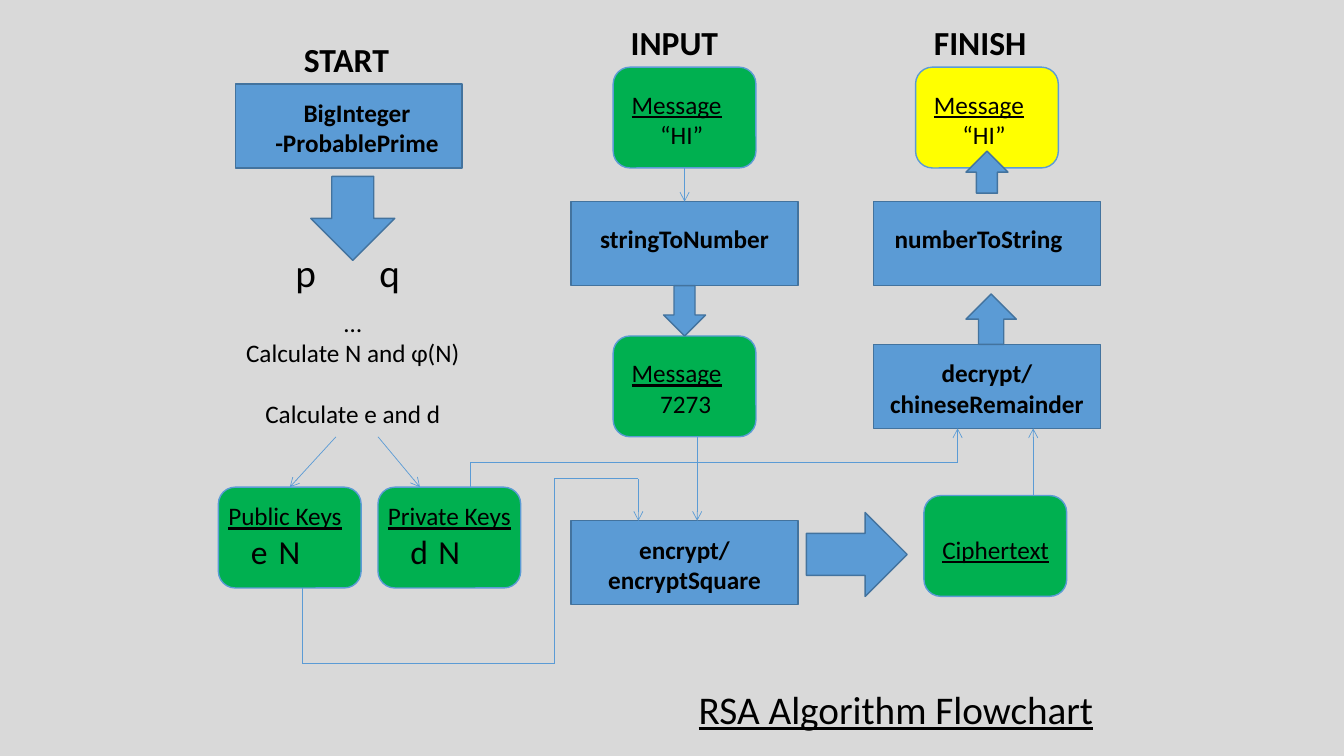
from lxml import etree
from pptx import Presentation
from pptx.dml.color import RGBColor
from pptx.enum.shapes import MSO_CONNECTOR, MSO_SHAPE
from pptx.enum.text import MSO_AUTO_SIZE, PP_ALIGN
from pptx.oxml.ns import qn
from pptx.util import Cm, Pt

RECTANGLE = MSO_SHAPE.RECTANGLE
ROUNDED = MSO_SHAPE.ROUNDED_RECTANGLE
UP, DOWN, RIGHT = MSO_SHAPE.UP_ARROW, MSO_SHAPE.DOWN_ARROW, MSO_SHAPE.RIGHT_ARROW
STRAIGHT = MSO_CONNECTOR.STRAIGHT
LEFT_ALIGNED, CENTERED = PP_ALIGN.LEFT, PP_ALIGN.CENTER
TOP_SIDE, BOTTOM_SIDE = 0, 2

GRID = 2.54 / 12  # centimetres per grid step; every position is in steps
BLUE, DARK_BLUE, GREEN, YELLOW = "5B9BD5", "43739E", "00B050", "FFFF00"


def color(value):
    return RGBColor.from_string(value)


def steps(*values):
    return [Cm(value * GRID) for value in values]


class Flowchart:
    font = "Calibri"
    ink = "000000"

    def __init__(self, slide):
        self.slide = slide

    def shape(self, kind, left, top, width, height, fill=BLUE, line=DARK_BLUE):
        shape = self.slide.shapes.add_shape(kind, *steps(left, top, width, height))
        shape.shadow.inherit = False
        shape.fill.solid()
        shape.fill.fore_color.rgb = color(fill)
        shape.line.color.rgb = color(line)
        shape.line.width = Pt(1)
        return shape

    def process(self, left, top):
        return self.shape(RECTANGLE, left, top, 27, 10)

    def data(self, left, top, fill=GREEN):
        return self.shape(ROUNDED, left, top, 17, 12, fill, BLUE)

    def text(self, left, top, width, height, *lines, align=LEFT_ALIGNED, **style):
        """Each line is a string or a (string, own style) pair."""
        box = self.slide.shapes.add_textbox(*steps(left, top, width, height))
        frame = box.text_frame
        frame.word_wrap = True
        frame.auto_size = MSO_AUTO_SIZE.SHAPE_TO_FIT_TEXT
        for index, line in enumerate(lines):
            words, own = (line, {}) if isinstance(line, str) else line
            paragraph = frame.add_paragraph() if index else frame.paragraphs[0]
            paragraph.alignment = align
            self.run(paragraph, words, **{**style, **own})

    def run(self, paragraph, words, size=18, bold=False, underline=False,
            indent=0, tab=0, before=0):
        paragraph.space_before = Pt(before)
        properties = paragraph._p.get_or_add_pPr()
        if indent:
            properties.set("marL", "0")
            properties.set("indent", str(Cm(indent)))
        if tab:
            tabs = etree.SubElement(properties, qn("a:tabLst"))
            etree.SubElement(tabs, qn("a:tab"), pos=str(Cm(tab)), algn="l")
        run = paragraph.add_run()
        run.text = words
        run.font.name = self.font
        run.font.size = Pt(size)
        run.font.bold = bold
        run.font.underline = underline
        run.font.color.rgb = color(self.ink)

    def line(self, start, end, arrow=True, source=None, target=None):
        connector = self.slide.shapes.add_connector(STRAIGHT, *steps(*start, *end))
        if source is not None:
            connector.begin_connect(source, BOTTOM_SIDE)
        if target is not None:
            connector.end_connect(target, TOP_SIDE)
        connector.line.color.rgb = color(BLUE)
        connector.line.width = Pt(0.5)
        if arrow:
            etree.SubElement(connector.line._get_or_add_ln(), qn("a:tailEnd"), type="arrow")
        etree.SubElement(connector._element.spPr, qn("a:effectLst"))

    def route(self, *points):
        """A path of straight parts with an arrowhead on the last one."""
        for start, end in zip(points, points[1:]):
            self.line(start, end, arrow=end == points[-1])


def draw_key_generation(chart):
    # Primes
    chart.process(28, 10)
    chart.text(30, 11, 25, 8.5, "BigInteger -ProbablePrime", align=CENTERED, bold=True)
    chart.shape(DOWN, 37, 21, 10, 10)
    chart.text(34, 29, 6, 6.8, "p", size=28)
    chart.text(44, 29, 7, 6.8, "q", size=28)
    chart.text(27, 36, 30, 15.6, "…", "Calculate N and φ(N)",
               ("Calculate e and d", {"before": 22}), align=CENTERED)

    # Key pair
    public_keys, private_keys = [chart.data(left, 58) for left in (26, 45)]
    for left, width, name, letter in ((26, 17, "Public Keys", "e"), (45, 19, "Private Keys", "d")):
        chart.text(left, 59, width, 9.6, (name, {"underline": True}),
                   (f"{letter}\tN", {"size": 24, "indent": 0.57, "tab": 1.77}))
    chart.line((40, 52), (34.5, 58), target=public_keys)
    chart.line((45, 52), (50, 58))


def draw_message(chart, left, top, content, fill=GREEN):
    shape = chart.data(left, top, fill)
    chart.text(left + 1, top + 2, 15, 8.5, ("Message", {"underline": True}),
               (content, {"indent": 0.72}))
    return shape


def draw_encryption(chart):
    message = draw_message(chart, 73, 8, "“HI”")
    to_number = chart.process(68, 24)
    chart.text(69, 26, 25, 4.8, "stringToNumber", align=CENTERED, bold=True)
    number = draw_message(chart, 73, 40, "7273")
    chart.process(68, 62)
    chart.text(69, 63, 25, 8.5, "encrypt/", "encryptSquare", align=CENTERED, bold=True)

    chart.line((81.5, 20), (81.5, 24), source=message, target=to_number)
    chart.line((81.5, 34), (81.5, 40), source=to_number, target=number)
    chart.shape(DOWN, 79, 34, 5, 6)
    chart.line((83, 52), (83, 62))
    chart.route((36, 70), (36, 79), (66, 79), (66, 57), (76, 57), (76, 62))
    chart.shape(RIGHT, 96, 61, 12, 10)


def draw_decryption(chart):
    chart.data(110, 59)
    chart.text(111, 63, 16, 4.8, "Ciphertext", underline=True)
    chart.process(104, 41)
    chart.text(104, 42, 27, 8.5, "decrypt/", "chineseRemainder", align=CENTERED, bold=True)
    chart.line((123, 59), (123, 51))
    chart.route((56, 58), (56, 55), (114, 55), (114, 51))
    chart.shape(UP, 115, 35, 6, 6)
    chart.process(104, 24)
    chart.text(104, 26, 25, 4.8, "numberToString", align=CENTERED, bold=True)
    draw_message(chart, 109, 8, "“HI”", YELLOW)
    chart.shape(UP, 115, 18, 5, 5)


def main():
    presentation = Presentation()
    presentation.slide_width, presentation.slide_height = steps(160, 90)
    slide = presentation.slides.add_slide(presentation.slide_layouts[6])
    slide.background.fill.solid()
    slide.background.fill.fore_color.rgb = color("D9D9D9")

    chart = Flowchart(slide)
    draw_key_generation(chart)
    draw_encryption(chart)
    draw_decryption(chart)

    # Column headings and title
    for left, top, heading, indent in ((35, 4, "START", 0), (73, 2, "INPUT", 0.19),
                                       (110, 2, "FINISH", 0)):
        chart.text(left, top, 18, 6.1, heading, size=24, bold=True, indent=indent)
    chart.text(82, 81, 54, 6.8, "RSA Algorithm Flowchart", size=28, underline=True)
    presentation.save("out.pptx")


if __name__ == "__main__":
    main()
